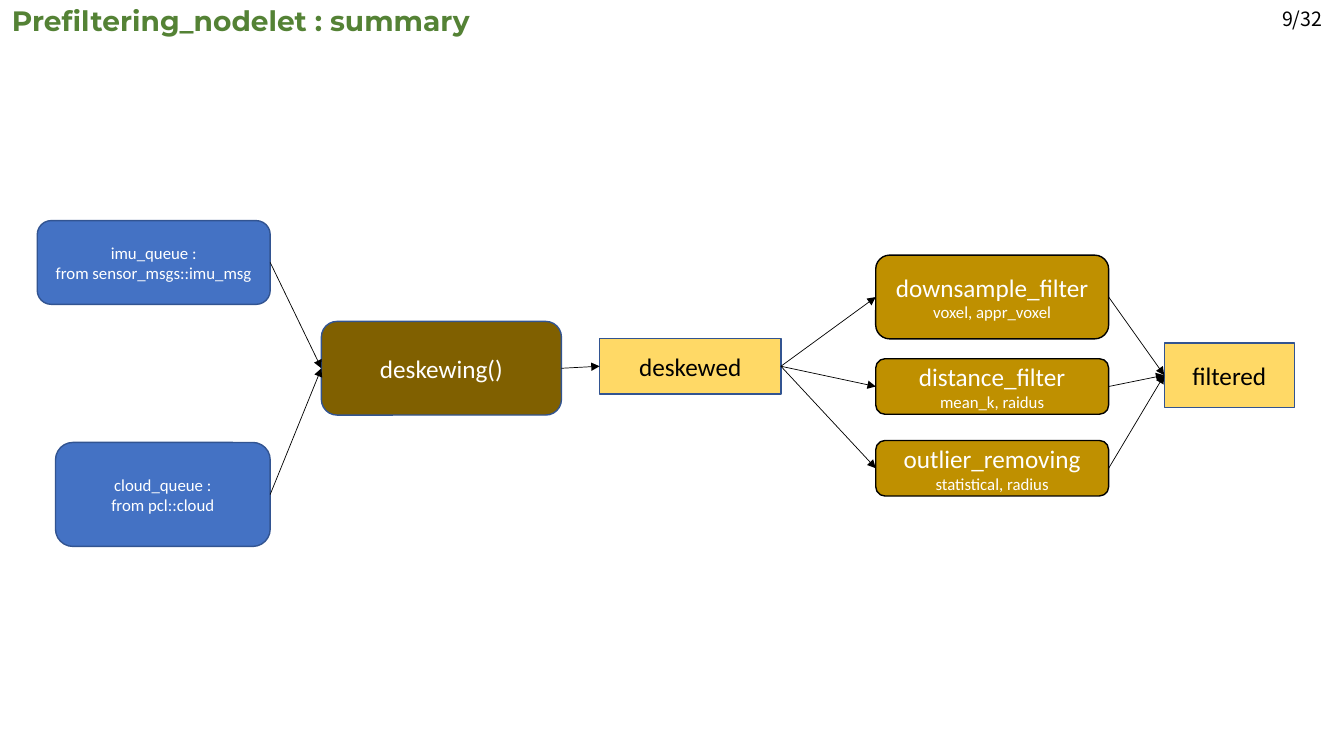
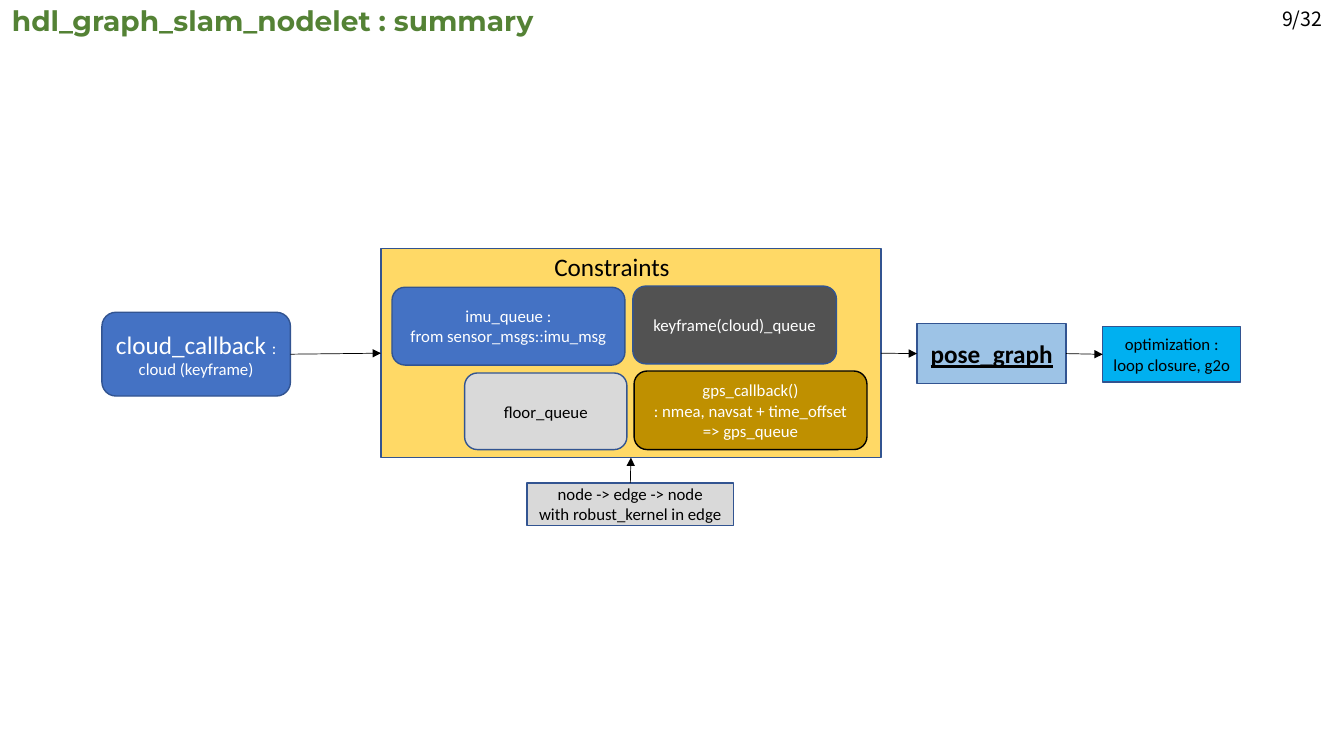
from dataclasses import dataclass

from lxml import etree
from pptx import Presentation
from pptx.dml.color import RGBColor
from pptx.enum.shapes import MSO_CONNECTOR, MSO_SHAPE
from pptx.enum.text import MSO_ANCHOR, PP_ALIGN
from pptx.oxml.ns import qn
from pptx.util import Cm, Pt

RECT, ROUND = MSO_SHAPE.RECTANGLE, MSO_SHAPE.ROUNDED_RECTANGLE
STRAIGHT = MSO_CONNECTOR.STRAIGHT
LEFT, CENTER = PP_ALIGN.LEFT, PP_ALIGN.CENTER
TOP, MIDDLE, BOTTOM = MSO_ANCHOR.TOP, MSO_ANCHOR.MIDDLE, MSO_ANCHOR.BOTTOM

# Connection sites of rectangles
SITE_TOP, SITE_LEFT, SITE_BOTTOM, SITE_RIGHT = range(4)


@dataclass(frozen=True)
class Theme:
    title_font: str = "Montserrat"
    body_font: str = "Calibri"
    page_font: str = "Noto Sans CJK KR"
    title_size: int = 20
    name_size: int = 18
    page_size: int = 14
    detail_size: int = 12
    green: str = "548235"
    black: str = "000000"
    white: str = "FFFFFF"
    outline: str = "325491"
    blue: str = "4472C4"
    light_blue: str = "9DC3E6"
    cyan: str = "00B0F0"
    brown: str = "806000"
    gold: str = "BF9000"
    yellow: str = "FFD966"
    gray: str = "D9D9D9"
    dark_gray: str = "525252"
    box_line: float = 1
    arrow_line: float = 0.5


T = Theme()


def rgb(code):
    return RGBColor.from_string(code)


def name(text):
    return [(text, T.name_size)]


def detail(text):
    return [(text, T.detail_size)]


def write(sp, lines, color, font=T.body_font, align=CENTER, anchor=MIDDLE,
          wrap=True, bold=False, underline=False):
    """Fill a shape with lines, each a list of (text, size) runs."""
    tf = sp.text_frame
    tf.word_wrap = wrap
    tf.vertical_anchor = anchor
    for i, line in enumerate(lines):
        p = tf.add_paragraph() if i else tf.paragraphs[0]
        p.alignment = align
        for text, size in line:
            r = p.add_run()
            r.text = text
            r.font.name = font
            r.font.size = Pt(size)
            r.font.color.rgb = rgb(color)
            r.font.bold = bold
            r.font.underline = underline


def add_box(s, kind, at, fill, lines=(), color=T.white, line=T.outline, **style):
    sp = s.shapes.add_shape(kind, *map(Cm, at))
    sp.shadow.inherit = False
    sp.fill.solid()
    sp.fill.fore_color.rgb = rgb(fill)
    sp.line.color.rgb = rgb(line)
    sp.line.width = Pt(T.box_line)
    write(sp, lines, color, **style)
    return sp


def add_label(s, at, line, color, **style):
    sp = s.shapes.add_textbox(*map(Cm, at))
    write(sp, [line], color, **style)
    return sp


def add_arrow(s, start, end, start_site=SITE_RIGHT, end_site=SITE_LEFT):
    cx = s.shapes.add_connector(STRAIGHT, 0, 0, 0, 0)
    cx.begin_connect(start, start_site)
    cx.end_connect(end, end_site)
    cx.line.color.rgb = rgb(T.black)
    cx.line.width = Pt(T.arrow_line)
    etree.SubElement(cx.line._get_or_add_ln(), qn("a:tailEnd"), type="triangle")
    etree.SubElement(cx._element.spPr, qn("a:effectLst"))


def add_slide(prs, title):
    """Blank slide with the shared title and page number."""
    s = prs.slides.add_slide(prs.slide_layouts[6])
    add_label(s, (0.05, -0.03, 32.92, 1.12), [(title, T.title_size)], T.green,
              font=T.title_font, align=LEFT, anchor=TOP, bold=True)
    page = add_label(s, (31.7, 0, 2.24, 0.89), [("9/32", T.page_size)], T.black,
                     font=T.page_font, anchor=BOTTOM)
    page.text_frame.paragraphs[0].line_spacing = 0.9
    return s


def add_imu_queue(s, at):
    lines = [detail("imu_queue :"), detail("from sensor_msgs::imu_msg")]
    return add_box(s, ROUND, at, T.blue, lines)


def build_prefiltering(prs):
    s = add_slide(prs, "Prefiltering_nodelet : summary")

    # Inputs and deskewing
    queues = [
        add_imu_queue(s, (0.94, 5.56, 5.87, 2.11)),
        add_box(s, ROUND, (1.4, 11.15, 5.41, 2.62), T.blue,
                [detail("cloud_queue :"), detail("from pcl::cloud")]),
    ]
    deskewing = add_box(s, ROUND, (8.1, 8.1, 6.05, 2.36), T.brown,
                        [name("deskewing()")])
    deskewed = add_box(s, RECT, (15.11, 8.53, 4.57, 1.4), T.yellow,
                       [name("deskewed")], T.black)
    filtered = add_box(s, RECT, (29.34, 8.64, 3.28, 1.63), T.yellow,
                       [name("filtered")], T.black)
    for queue in queues:
        add_arrow(s, queue, deskewing)
    add_arrow(s, deskewing, deskewed)

    # Filters between the deskewed and the filtered cloud
    filters = [
        ("downsample_filter", "voxel, appr_voxel", 6.43, 2.11),
        ("distance_filter", "mean_k, raidus", 9.04, 1.4),
        ("outlier_removing", "statistical, radius", 11.1, 1.4),
    ]
    for title, options, top, height in filters:
        box = add_box(s, ROUND, (22.07, top, 5.87, height), T.gold,
                      [name(title), detail(options)], line=T.black)
        add_arrow(s, deskewed, box)
        add_arrow(s, box, filtered)


def build_graph_slam(prs):
    s = add_slide(prs, "hdl_graph_slam_nodelet : summary")

    # Constraints panel and its queues
    constraints = add_box(s, RECT, (9.6, 6.27, 12.6, 5.26), T.yellow)
    add_label(s, (13.72, 6.2, 3.45, 1.02), name("Constraints"), T.black,
              align=LEFT, anchor=TOP, wrap=False)
    add_imu_queue(s, (9.88, 7.24, 5.87, 1.96))
    add_box(s, ROUND, (15.95, 7.21, 5.13, 1.96), T.dark_gray,
            [detail("keyframe(cloud)_queue")])
    add_box(s, ROUND, (11.71, 9.4, 4.09, 1.93), T.gray,
            [detail("floor_queue")], T.black)
    add_box(s, ROUND, (15.98, 9.35, 5.87, 1.98), T.gold,
            [detail("gps_callback()"), detail(": nmea, navsat + time_offset"),
             detail("=> gps_queue")], line=T.black)

    # Steps around the panel
    callback = add_box(s, ROUND, (2.57, 7.87, 4.75, 2.11), T.blue,
                       [name("cloud_callback ") + detail(":"),
                        detail("cloud (keyframe)")])
    pose_graph = add_box(s, RECT, (23.11, 8.15, 3.76, 1.52), T.light_blue,
                         [name("pose_graph")], T.black,
                         bold=True, underline=True)
    optimization = add_box(s, RECT, (27.79, 8.23, 3.48, 1.4), T.cyan,
                           [detail("optimization :"),
                            detail("loop closure, g2o")], T.black)
    edges = add_box(s, RECT, (13.28, 12.17, 5.21, 1.07), T.gray,
                    [detail("node -> edge -> node"),
                     detail("with robust_kernel in edge")], T.black)

    # Flow
    add_arrow(s, callback, constraints)
    add_arrow(s, constraints, pose_graph)
    add_arrow(s, pose_graph, optimization)
    add_arrow(s, edges, constraints, SITE_TOP, SITE_BOTTOM)


def main():
    prs = Presentation()
    prs.slide_width, prs.slide_height = Cm(33.87), Cm(19.05)
    build_prefiltering(prs)
    build_graph_slam(prs)
    prs.save("out.pptx")


if __name__ == "__main__":
    main()
